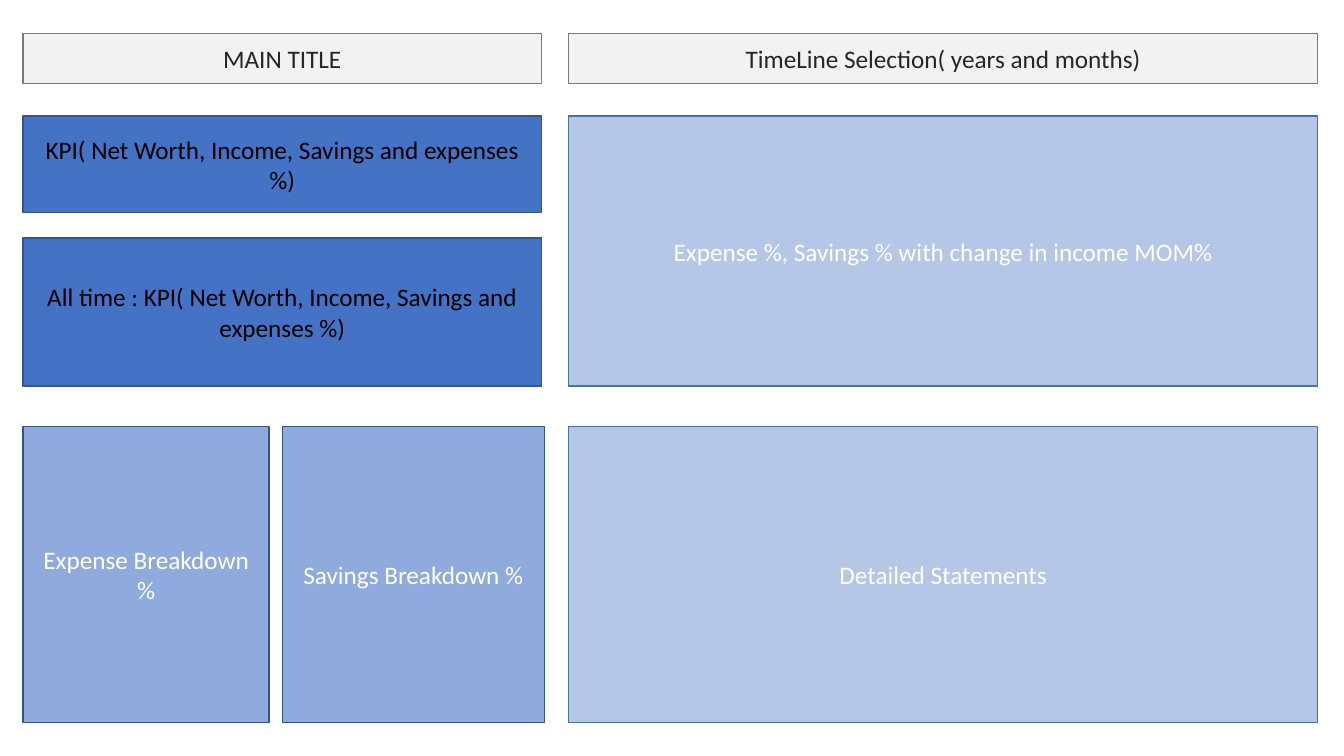
"""Build a wireframe slide for a personal finance dashboard."""
from dataclasses import dataclass

from pptx import Presentation
from pptx.dml.color import RGBColor
from pptx.enum.shapes import MSO_SHAPE
from pptx.enum.text import MSO_ANCHOR, PP_ALIGN
from pptx.slide import Slide
from pptx.util import Emu, Pt

SCALE = 9144
COLORS = {
    "gray": "F2F2F2", "edge": "7A7A7A", "ink": "262626",
    "blue": "4472C4", "navy": "325491", "black": "000000",
    "mid": "8FAADC", "pale": "B4C7E7", "steel": "43739E",
    "white": "FFFFFF",
}


@dataclass(frozen=True)
class Style:
    fill: str
    line: str
    font: str


@dataclass(frozen=True)
class Panel:
    left: int
    top: int
    width: int
    height: int
    style: Style
    text: str


HEAD = Style("gray", "edge", "ink")
KPI = Style("blue", "navy", "black")
SPLIT = Style("mid", "navy", "white")
CHART = Style("pale", "steel", "white")

LEFT, LEFT_W = 23, 514
RIGHT, RIGHT_W = 564, 743
HEAD_Y, HEAD_H = 33, 50
BODY_Y, BODY_H = 115, 268
BASE_Y, BASE_H = 423, 294

PANELS = [
    Panel(LEFT, HEAD_Y, LEFT_W, HEAD_H, HEAD, "MAIN TITLE"),
    Panel(RIGHT, HEAD_Y, RIGHT_W, HEAD_H, HEAD,
          "TimeLine Selection( years and months)"),
    Panel(LEFT, BODY_Y, LEFT_W, 96, KPI,
          "KPI( Net Worth, Income, Savings and expenses %)"),
    Panel(LEFT, 236, LEFT_W, 147, KPI,
          "All time : KPI( Net Worth, Income, Savings and expenses %)"),
    Panel(RIGHT, BODY_Y, RIGHT_W, BODY_H, CHART,
          "Expense %, Savings % with change in income MOM%"),
    Panel(LEFT, BASE_Y, 244, BASE_H, SPLIT, "Expense Breakdown %"),
    Panel(280, BASE_Y, 260, BASE_H, SPLIT, "Savings Breakdown %"),
    Panel(RIGHT, BASE_Y, RIGHT_W, BASE_H, CHART, "Detailed Statements"),
]


def px(size: int) -> Emu:
    """Turn px into EMU."""
    return Emu(size * SCALE)


def color(name: str) -> RGBColor:
    """Look up a named color."""
    return RGBColor.from_string(COLORS[name])


def draw(slide: Slide, panel: Panel) -> None:
    """Draw one labeled panel."""
    box = slide.shapes.add_shape(
        MSO_SHAPE.RECTANGLE, px(panel.left), px(panel.top),
        px(panel.width), px(panel.height))
    box.shadow.inherit = False
    box.fill.solid()
    box.fill.fore_color.rgb = color(panel.style.fill)
    box.line.color.rgb = color(panel.style.line)
    box.line.width = Pt(1)
    frame = box.text_frame
    frame.word_wrap = True
    frame.vertical_anchor = MSO_ANCHOR.MIDDLE
    para = frame.paragraphs[0]
    para.alignment = PP_ALIGN.CENTER
    run = para.add_run()
    run.text = panel.text
    run.font.name = "Calibri"
    run.font.size = Pt(18)
    run.font.color.rgb = color(panel.style.font)


def main() -> None:
    """Build and save the deck."""
    deck = Presentation()
    deck.slide_width, deck.slide_height = px(1333), px(750)
    slide = deck.slides.add_slide(deck.slide_layouts[6])
    for panel in PANELS:
        draw(slide, panel)
    deck.save("out.pptx")


if __name__ == "__main__":
    main()
